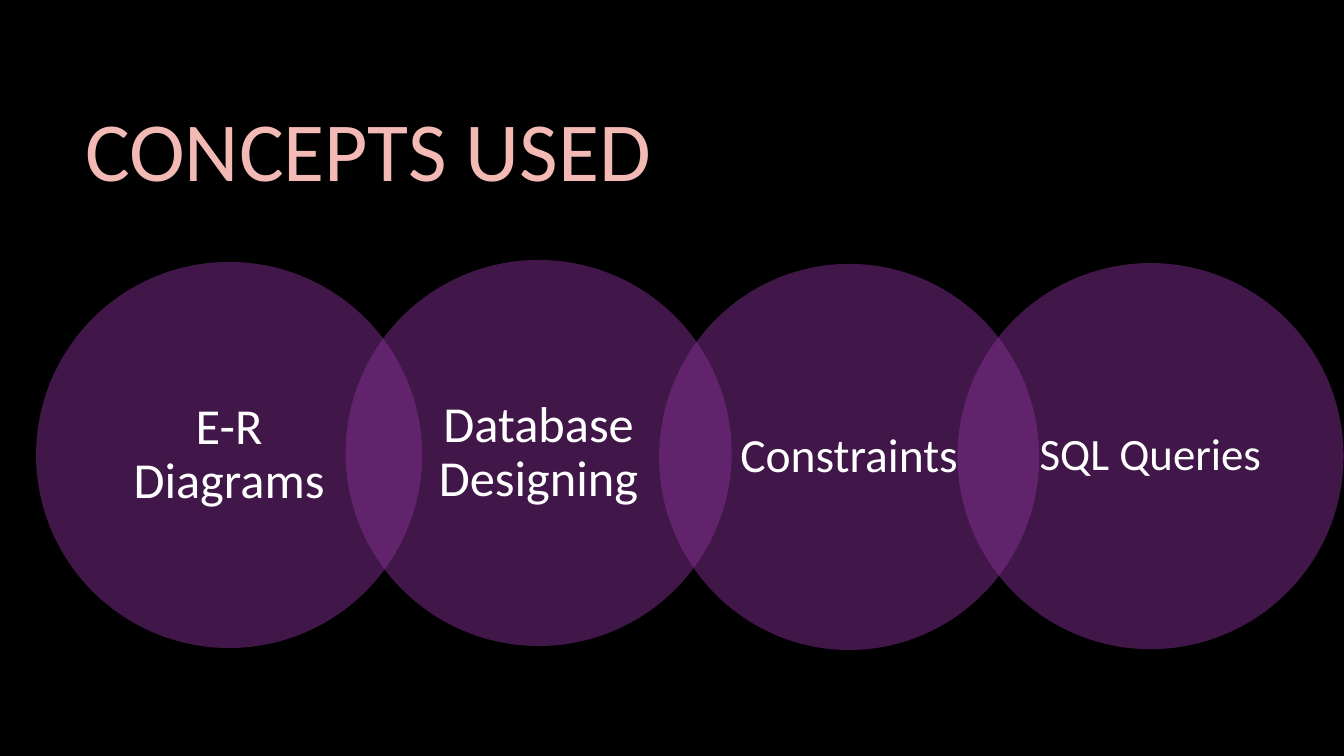
from lxml.etree import SubElement
from pptx import Presentation
from pptx.dml.color import RGBColor
from pptx.enum.shapes import MSO_SHAPE as Shape
from pptx.enum.text import MSO_ANCHOR as Anchor, PP_ALIGN as Align
from pptx.oxml.ns import qn
from pptx.util import Cm, Pt

COLORS = {"background": "000000", "title": "F3BAB5",
          "circle": "812F91", "label": "FFFFFF"}

# Label, left, top and width in cm, text size in points
CONCEPTS = [
    ("E-R Diagrams", 0.91, 6.6, 9.73, 36),
    ("Database Designing", 8.71, 6.55, 9.73, 36),
    ("Constraints", 16.61, 6.65, 9.58, 34),
    ("SQL Queries", 24.13, 6.63, 9.73, 32),
]
CIRCLE_HEIGHT = 9.73


class ConceptSlide:
    """Holds the style and the current slide."""

    font_name = "Calibri"

    def __init__(self, slide):
        self.slide = slide
        background = slide.background.fill
        background.solid()
        background.fore_color.rgb = self.color("background")

    def color(self, role):
        return RGBColor.from_string(COLORS[role])

    def set_text(self, frame, text, size, role, frame_format, paragraph_format):
        paragraph = frame.paragraphs[0]
        paragraph.text = text
        font = paragraph.runs[0].font
        font_format = {"name": self.font_name, "size": Pt(size)}
        for target, values in ((frame, frame_format),
                               (paragraph, paragraph_format),
                               (font, font_format)):
            for attribute, value in values.items():
                setattr(target, attribute, value)
        font.color.rgb = self.color(role)

    def title(self, text, left, top, width, height):
        heading = self.slide.shapes.add_textbox(
            Cm(left), Cm(top), Cm(width), Cm(height))
        self.set_text(heading.text_frame, text, 60, "title",
                      {"word_wrap": True, "vertical_anchor": Anchor.MIDDLE},
                      {"alignment": Align.LEFT})

    def circle(self, text, left, top, width, size):
        concept = self.slide.shapes.add_shape(
            Shape.OVAL, Cm(left), Cm(top), Cm(width), Cm(CIRCLE_HEIGHT))
        concept.shadow.inherit = False
        concept.line.fill.background()
        concept.fill.solid()
        concept.fill.fore_color.rgb = self.color("circle")
        # Half-transparent fill, so that overlaps look brighter
        tint = concept.fill._xPr.find(qn("a:solidFill"))[0]
        SubElement(tint, qn("a:alpha"), val="50000")
        self.set_text(concept.text_frame, text, size, "label",
                      {"word_wrap": True, "vertical_anchor": Anchor.MIDDLE,
                       "margin_left": Cm(0.53), "margin_right": Cm(0.53),
                       "margin_top": Cm(0.12), "margin_bottom": Cm(0.12)},
                      {"alignment": Align.CENTER, "line_spacing": 0.9})


def main():
    deck = Presentation()
    deck.slide_width, deck.slide_height = Cm(33.87), Cm(19.05)
    page = ConceptSlide(deck.slides.add_slide(deck.slide_layouts[6]))

    # Heading
    page.title("CONCEPTS USED", 1.9, 1.7, 28.14, 4.04)

    # Chain of overlapping circles
    for concept in CONCEPTS:
        page.circle(*concept)

    deck.save("out.pptx")


if __name__ == "__main__":
    main()
